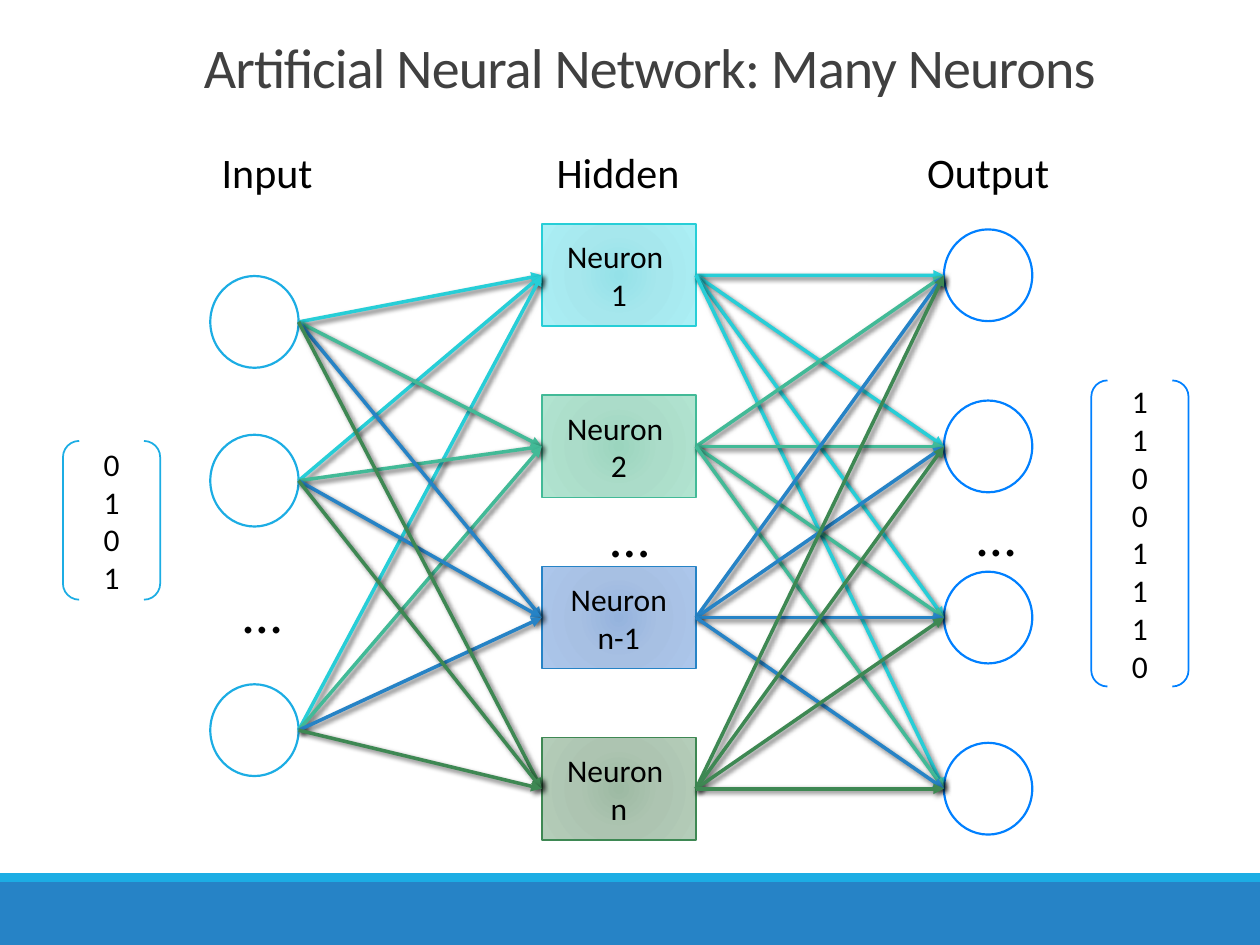
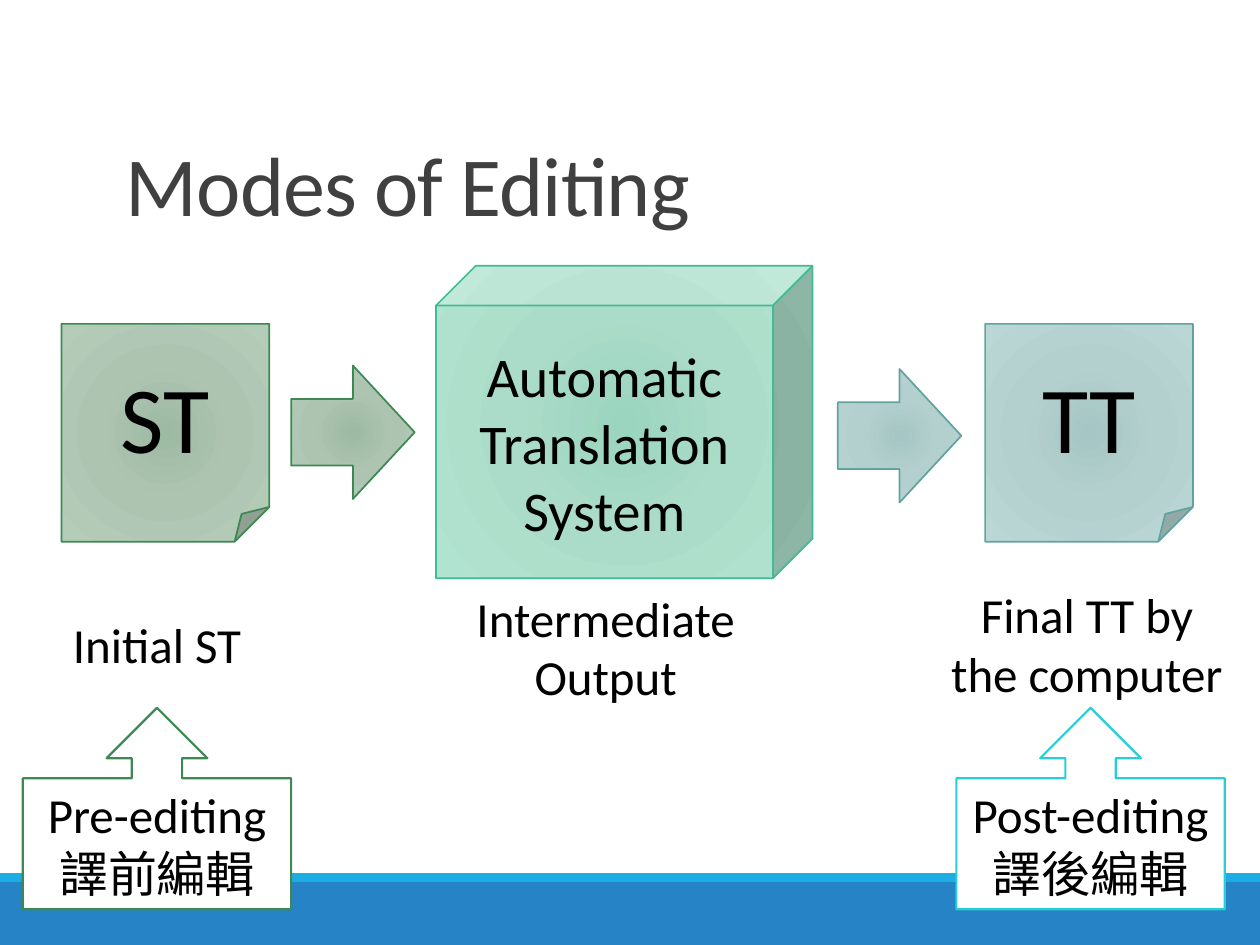
from dataclasses import dataclass
from itertools import cycle, product

from pptx import Presentation
from pptx.dml.color import RGBColor
from pptx.enum.shapes import MSO_CONNECTOR as Connector, MSO_SHAPE as Shape
from pptx.enum.text import MSO_ANCHOR as Anchor, MSO_AUTO_SIZE as AutoSize, PP_ALIGN as Align
from pptx.oxml import parse_xml
from pptx.oxml.ns import nsdecls, qn
from pptx.util import Cm, Pt


@dataclass(frozen=True)
class Theme:
    font: str = "Calibri"
    cjk_font: str = "Noto Sans CJK SC"
    text: str = "000000"
    title: str = "404040"
    white: str = "FFFFFF"
    blue: str = "2683C6"
    sky: str = "1CADE4"
    azure: str = "0080FF"
    cyan: str = "27CED7"
    mint: str = "42BA97"
    green: str = "3E8853"
    teal: str = "62A39F"
    body_size: int = 18
    label_size: int = 24
    caption_size: int = 28
    large_size: int = 32
    title_size: int = 48
    document_size: int = 54


theme = Theme()

GRADIENTS = {
    theme.cyan: ("94E1E8", "A6E7ED", "ABEFF5"),
    theme.mint: ("9BD5BE", "ABDCC9", "B1E4D0"),
    theme.blue: ("95B3DD", "A7C0E3", "ACC6EB"),
    theme.green: ("9DBAA3", "ADC4B1", "B4CDB9"),
    theme.teal: ("A5C6C4", "B4D0CE", "BAD7D5"),
}
GRADIENT_STOPS = (0, 45, 100)

SLIDE_SIZE = (25.4, 19.05)
BANDS = [(17.78, 1.27, theme.blue), (17.6, 0.18, theme.sky)]

NETWORK_TITLE = ("Artificial Neural Network: Many Neurons", (3.86, 0.46, 18.77, 1.68), theme.large_size)
LAYER_LABELS = [("Input", 4.22, 2.36), ("Hidden", 10.97, 3.02), ("Output", 18.44, 3.0)]
LABEL_TOP, LABEL_HEIGHT = 2.82, 1.27
NEURONS = [
    (["Neuron ", "1"], theme.cyan),
    (["Neuron ", "2"], theme.mint),
    (["Neuron n-1"], theme.blue),
    (["Neuron ", "n"], theme.green),
]
NEURON_LEFT, NEURON_WIDTH, NEURON_HEIGHT = 10.92, 3.11, 2.06
ROW_START, ROW_STEP = 5.55, 3.45
INPUT_LEFT, INPUT_MIDDLES = 4.24, (6.49, 9.69, 14.72)
OUTPUT_LEFT = 19.03
NODE_WIDTH, NODE_HEIGHT = 1.78, 1.85
ELLIPSES = [(4.22, 11.79), (11.63, 10.26), (19.02, 10.24)]
ELLIPSIS_SIZE = (2.13, 1.04)
VECTORS = [
    ("0101", (1.27, 8.89, 1.96, 3.2), theme.sky),
    ("11001110", (22.0, 7.67, 1.96, 6.17), theme.azure),
]

EDITING_TITLE = ("Modes of Editing", (2.29, 0.79, 20.96, 4.04), theme.title_size)
STAGES = [
    (Shape.FOLDED_CORNER, "ST", (1.24, 6.53, 4.19, 4.39), theme.green, theme.document_size),
    (Shape.FOLDED_CORNER, "TT", (19.86, 6.53, 4.19, 4.39), theme.teal, theme.document_size),
    (Shape.CUBE, "Automatic Translation System", (8.79, 5.36, 7.59, 6.3), theme.mint, theme.large_size),
    (Shape.RIGHT_ARROW, "", (5.87, 7.37, 2.49, 2.69), theme.green, theme.body_size),
    (Shape.RIGHT_ARROW, "", (16.89, 7.44, 2.49, 2.69), theme.teal, theme.body_size),
]
CUBE_DEPTH = 0.127
CAPTIONS = [
    ("Final TT by the computer", (18.85, 11.66, 6.12, 2.64)),
    ("Initial ST", (1.02, 12.27, 4.29, 1.45)),
    ("Intermediate Output", (8.97, 11.73, 6.48, 2.64)),
]
CALLOUTS = [
    (["Pre-editing", "譯前編輯"], 0.46, theme.green),
    (["Post-editing", "譯後編輯"], 19.28, theme.cyan),
]
CALLOUT_TOP, CALLOUT_WIDTH, CALLOUT_HEIGHT = 14.27, 5.41, 4.06


def apply_format(target, values):
    for name, value in values.items():
        setattr(target, name, value)


def write(shape, lines, size, color=theme.text, fonts=(theme.font,), frame=None, paragraph_format=None):
    text_frame = shape.text_frame
    apply_format(text_frame, {"word_wrap": True, **(frame or {})})
    for index, (line, font_name) in enumerate(zip(lines, cycle(fonts))):
        paragraph = text_frame.paragraphs[0] if index == 0 else text_frame.add_paragraph()
        apply_format(paragraph, paragraph_format or {"alignment": Align.CENTER})
        run = paragraph.add_run()
        run.text = line
        apply_format(run.font, {"size": Pt(size), "name": font_name})
        run.font.color.rgb = RGBColor.from_string(color)
        if font_name == theme.cjk_font:
            run.font._element.append(parse_xml(f'<a:ea {nsdecls("a")} typeface="{font_name}"/>'))


def add_text(slide, lines, box, size, **options):
    text_box = slide.shapes.add_textbox(*map(Cm, box))
    write(text_box, lines, size, **options)
    return text_box


def add_shape(slide, kind, box, fill=None, line=None, line_width=1.25):
    shape = slide.shapes.add_shape(kind, *map(Cm, box))
    shape.shadow.inherit = False
    if fill:
        shape.fill.solid()
        shape.fill.fore_color.rgb = RGBColor.from_string(fill)
    else:
        shape.fill.background()
    if line:
        shape.line.color.rgb = RGBColor.from_string(line)
        shape.line.width = Pt(line_width)
    else:
        shape.line.fill.background()
    return shape


def add_glowing_shape(slide, kind, box, color):
    shape = add_shape(slide, kind, box, line=color, line_width=1)
    shape.fill.gradient()
    stops = "".join(
        f'<a:gs pos="{position * 1000}"><a:srgbClr val="{stop}"/></a:gs>'
        for position, stop in zip(GRADIENT_STOPS, GRADIENTS[color])
    )
    properties = shape._element.spPr
    properties.replace(properties.find(qn("a:gradFill")), parse_xml(
        f'<a:gradFill {nsdecls("a")} rotWithShape="1"><a:gsLst>{stops}</a:gsLst><a:path path="circle">'
        '<a:fillToRect l="100000" t="100000" r="100000" b="100000"/></a:path></a:gradFill>'
    ))
    return shape


def add_arrow(slide, start, end, color):
    connector = slide.shapes.add_connector(Connector.STRAIGHT, *map(Cm, start + end))
    connector.line.color.rgb = RGBColor.from_string(color)
    connector.line.width = Pt(2)
    connector.line._get_or_add_ln().append(parse_xml(f'<a:tailEnd {nsdecls("a")} type="triangle"/>'))
    connector._element.spPr.append(parse_xml(
        f'<a:effectLst {nsdecls("a")}><a:outerShdw blurRad="38100" dist="25400" dir="2700000" '
        'rotWithShape="0"><a:srgbClr val="000000"><a:alpha val="60000"/></a:srgbClr>'
        '</a:outerShdw></a:effectLst>'
    ))
    return connector


def add_base_slide(presentation, title, box, size):
    slide = presentation.slides.add_slide(presentation.slide_layouts[6])
    for top, height, color in BANDS:
        add_shape(slide, Shape.RECTANGLE, (0, top, SLIDE_SIZE[0], height), color)
    title_box = add_text(
        slide, [title], box, size, color=theme.title,
        frame={"vertical_anchor": Anchor.BOTTOM},
        paragraph_format={"line_spacing": 0.85},
    )
    title_box.text_frame.paragraphs[0].runs[0].font._element.set("spc", "-50")
    return slide


def add_node(slide, left, middle, color):
    box = (left, middle - NODE_HEIGHT / 2, NODE_WIDTH, NODE_HEIGHT)
    add_shape(slide, Shape.OVAL, box, theme.white, color)


def build_network(presentation):
    slide = add_base_slide(presentation, *NETWORK_TITLE)
    growing = {"word_wrap": False, "auto_size": AutoSize.SHAPE_TO_FIT_TEXT}
    for label, left, width in LAYER_LABELS:
        add_text(slide, [label], (left, LABEL_TOP, width, LABEL_HEIGHT), theme.label_size,
                 frame=growing, paragraph_format={"alignment": Align.LEFT})

    row_middles = [ROW_START + row * ROW_STEP for row in range(len(NEURONS))]
    for middle in INPUT_MIDDLES:
        add_node(slide, INPUT_LEFT, middle, theme.sky)
    for middle in row_middles:
        add_node(slide, OUTPUT_LEFT, middle, theme.azure)

    neurons = []
    for (lines, color), middle in zip(NEURONS, row_middles):
        box = (NEURON_LEFT, middle - NEURON_HEIGHT / 2, NEURON_WIDTH, NEURON_HEIGHT)
        neuron = add_glowing_shape(slide, Shape.RECTANGLE, box, color)
        write(neuron, lines, theme.body_size, frame={"vertical_anchor": Anchor.MIDDLE})
        neurons.append((neuron, middle, color))

    for (neuron, middle, color), source in product(neurons, INPUT_MIDDLES):
        arrow = add_arrow(slide, (INPUT_LEFT + NODE_WIDTH, source), (NEURON_LEFT, middle), color)
        arrow.end_connect(neuron, 1)
    for (neuron, middle, color), target in product(neurons, row_middles):
        arrow = add_arrow(slide, (NEURON_LEFT + NEURON_WIDTH, middle), (OUTPUT_LEFT, target), color)
        arrow.begin_connect(neuron, 3)

    for position in ELLIPSES:
        dots = add_text(slide, ["…"], position + ELLIPSIS_SIZE, theme.large_size, frame=growing)
        dots.text_frame._txBody.bodyPr.set("vert", "wordArtVert")
    for digits, box, color in VECTORS:
        vector = add_shape(slide, Shape.DOUBLE_BRACKET, box, line=color, line_width=1)
        write(vector, digits, theme.body_size, frame={"vertical_anchor": Anchor.MIDDLE})


def build_editing(presentation):
    slide = add_base_slide(presentation, *EDITING_TITLE)
    centred = {"vertical_anchor": Anchor.MIDDLE}
    for kind, text, box, color, size in STAGES:
        stage = add_glowing_shape(slide, kind, box, color)
        if kind == Shape.CUBE:
            stage.adjustments[0] = CUBE_DEPTH
        if text:
            write(stage, [text], size, frame=centred)
    for text, box in CAPTIONS:
        add_text(slide, [text], box, theme.caption_size, frame={"auto_size": AutoSize.SHAPE_TO_FIT_TEXT})
    for lines, left, color in CALLOUTS:
        box = (left, CALLOUT_TOP, CALLOUT_WIDTH, CALLOUT_HEIGHT)
        callout = add_shape(slide, Shape.UP_ARROW_CALLOUT, box, theme.white, color)
        write(callout, lines, theme.caption_size, fonts=(theme.font, theme.cjk_font), frame=centred)


def main():
    presentation = Presentation()
    apply_format(presentation, dict(zip(("slide_width", "slide_height"), map(Cm, SLIDE_SIZE))))
    build_network(presentation)
    build_editing(presentation)
    presentation.save("out.pptx")


if __name__ == "__main__":
    main()
